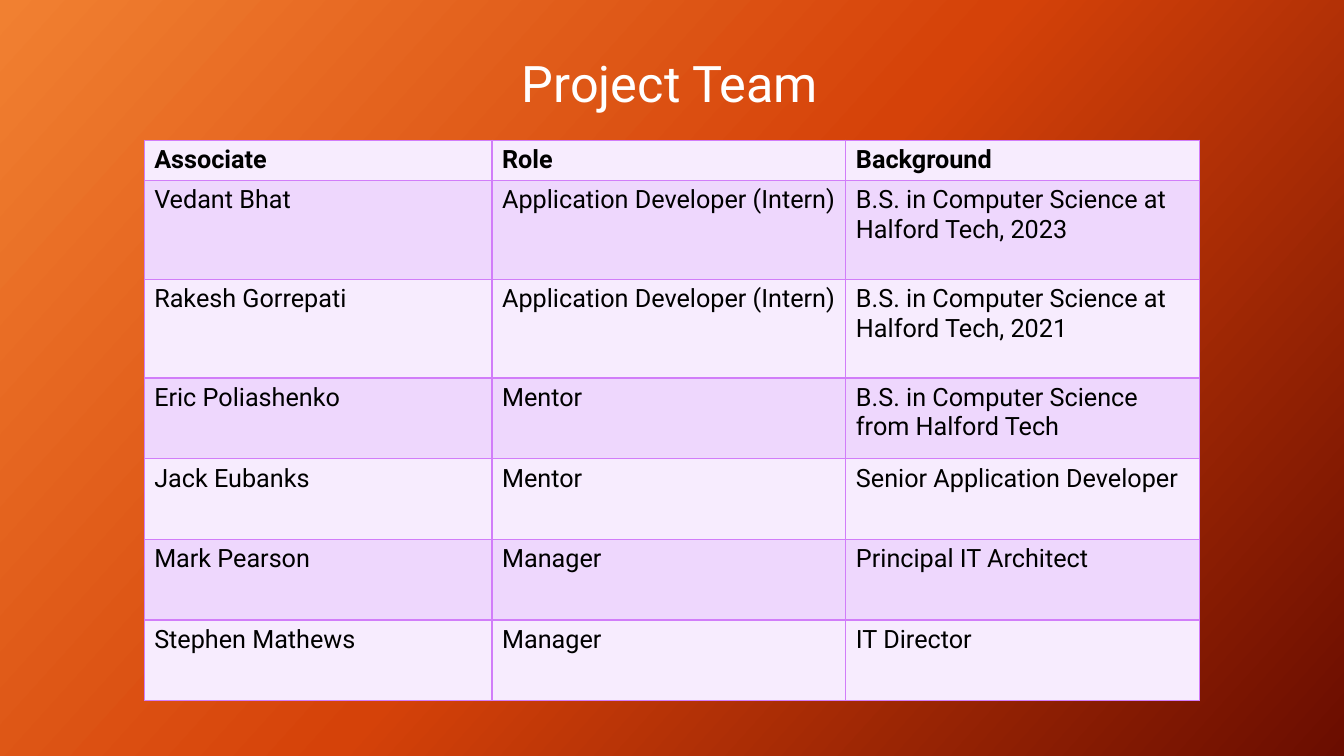
from copy import deepcopy

from lxml import etree
from pptx import Presentation
from pptx.dml.color import RGBColor
from pptx.enum.text import MSO_ANCHOR, MSO_AUTO_SIZE, PP_ALIGN
from pptx.oxml.ns import qn
from pptx.util import Inches, Pt

CENTER = PP_ALIGN.CENTER
MIDDLE = MSO_ANCHOR.MIDDLE
NO_AUTOFIT = MSO_AUTO_SIZE.NONE

# Content
TITLE = "Project Team"
TEAM = [
    ("Associate", "Role", "Background"),
    ("Vedant Bhat", "Application Developer (Intern)",
     "B.S. in Computer Science at Halford Tech, 2023"),
    ("Rakesh Gorrepati", "Application Developer (Intern)",
     "B.S. in Computer Science at Halford Tech, 2021"),
    ("Eric Poliashenko", "Mentor", "B.S. in Computer Science from Halford Tech"),
    ("Jack Eubanks", "Mentor", "Senior Application Developer"),
    ("Mark Pearson", "Manager", "Principal IT Architect"),
    ("Stephen Mathews", "Manager", "IT Director"),
]

# Format
COLORS = {
    "title": "FFFFFF", "text": "000000", "border": "D17DF9",
    "light_row": "F7ECFE", "dark_row": "EED7FD",
}
BACKGROUND_STOPS = [(0, "F18031"), (0.5, "D54209"), (1, "6A0D00")]
BACKGROUND_ANGLE = 42
COLUMN_WIDTHS = [3.45, 3.51, 3.51]
ROW_HEIGHTS = [0.4] + [0.98] * 2 + [0.8] * 4
TITLE_BOX = {"left": 1.39, "top": 0.27, "width": 10.51, "height": 1.18}
TITLE_FONT = {"name": "Roboto", "size": Pt(36), "bold": False}
CELL_FONT = {"name": "Roboto", "size": Pt(18)}


def format_font(font, values, color):
    for name, value in values.items():
        setattr(font, name, value)
    font.color.rgb = RGBColor.from_string(COLORS[color])


def add_borders(cell):
    properties = cell._tc.get_or_add_tcPr()
    for side in ("lnL", "lnR", "lnT", "lnB"):
        line = etree.SubElement(properties, qn(f"a:{side}"), w=str(Pt(1)))
        fill = etree.SubElement(line, qn("a:solidFill"))
        etree.SubElement(fill, qn("a:srgbClr"), val=COLORS["border"])


prs = Presentation()
prs.slide_width, prs.slide_height = Inches(13.33), Inches(7.5)
slide = prs.slides.add_slide(prs.slide_layouts[5])

# Background gradient, with a third stop added to the default two
background = slide.background.fill
background.gradient()
background.gradient_angle = 360 - BACKGROUND_ANGLE
stop_list = slide.element.find(".//" + qn("a:gsLst"))
stop_list.append(deepcopy(stop_list[-1]))
for stop, (position, color) in zip(background.gradient_stops, BACKGROUND_STOPS):
    stop.position = position
    stop.color.rgb = RGBColor.from_string(color)

# Title
title = slide.shapes.title
for name, value in TITLE_BOX.items():
    setattr(title, name, Inches(value))
title.text_frame.text = TITLE
title.text_frame.auto_size = NO_AUTOFIT
title.text_frame.vertical_anchor = MIDDLE
heading = title.text_frame.paragraphs[0]
heading.alignment = CENTER
heading.line_spacing = 0.9
format_font(heading.runs[0].font, TITLE_FONT, "title")

# Team table
table = slide.shapes.add_table(
    len(TEAM), len(COLUMN_WIDTHS), Inches(1.43), Inches(1.39),
    Inches(sum(COLUMN_WIDTHS)), Inches(sum(ROW_HEIGHTS))).table
for column, width in zip(table.columns, COLUMN_WIDTHS):
    column.width = Inches(width)
for row_index, (row, height, member) in enumerate(zip(table.rows, ROW_HEIGHTS, TEAM)):
    row.height = Inches(height)
    row_color = COLORS["dark_row" if row_index % 2 else "light_row"]
    for cell, text in zip(row.cells, member):
        cell.text = text
        font = cell.text_frame.paragraphs[0].runs[0].font
        format_font(font, {**CELL_FONT, "bold": row_index == 0}, "text")
        add_borders(cell)
        cell.fill.solid()
        cell.fill.fore_color.rgb = RGBColor.from_string(row_color)

prs.save("out.pptx")
